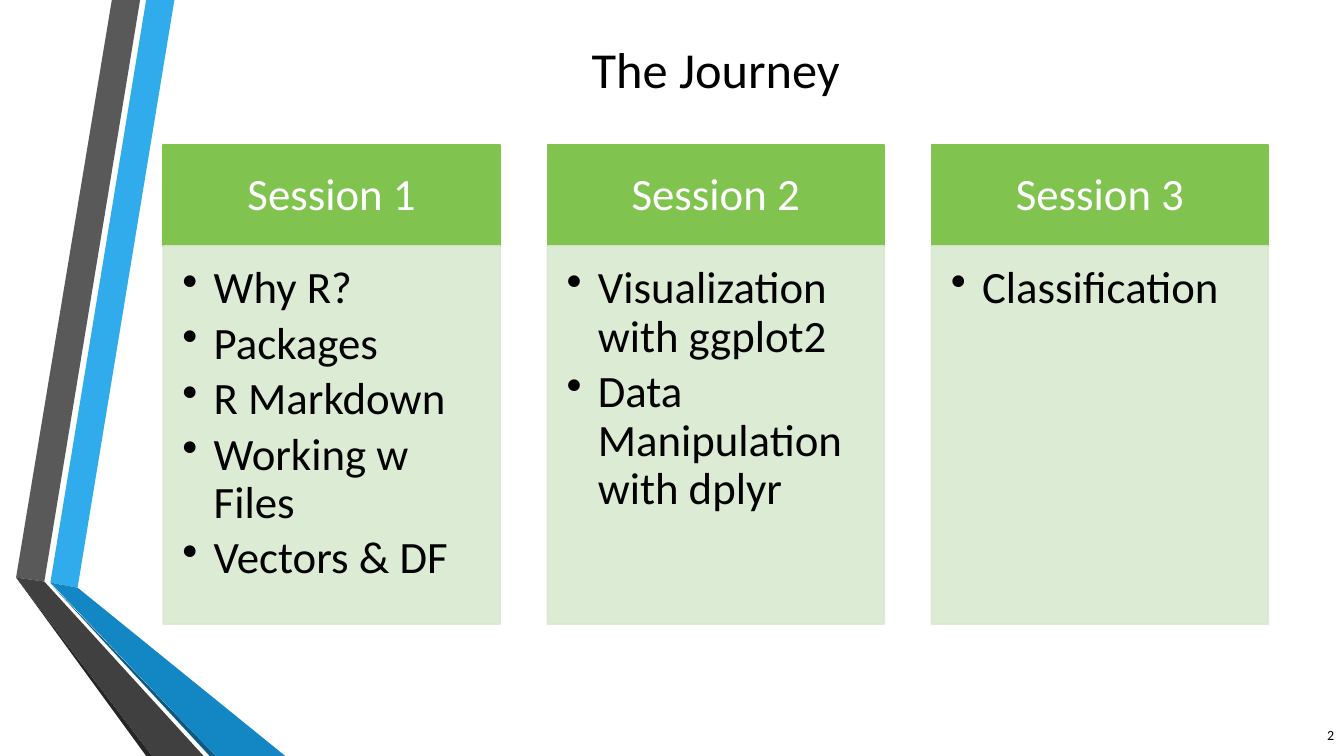
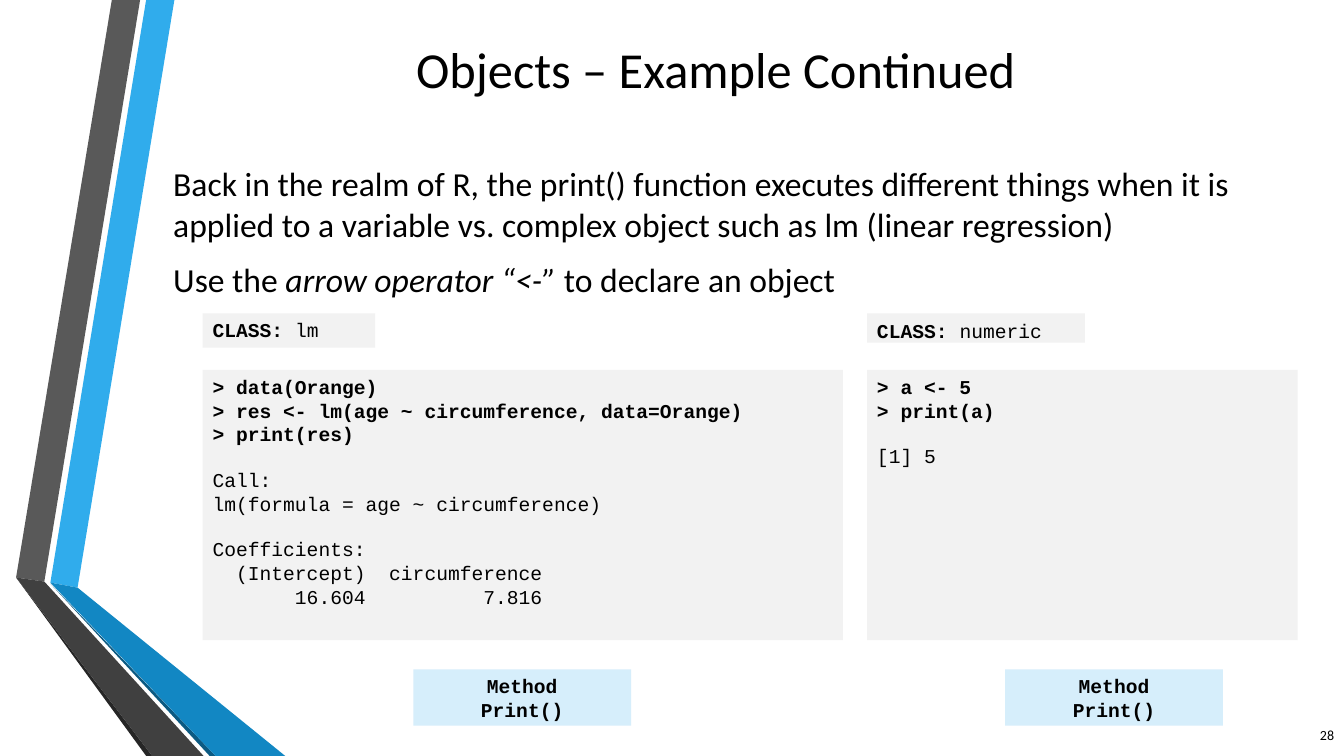
from lxml import etree
from pptx import Presentation
from pptx import util as u
from pptx.dml.color import RGBColor
from pptx.enum import shapes, text
from pptx.oxml import ns

COLORS = {
    "text": "000000", "white": "FFFFFF",
    "blue": "30ACEC", "blue_fold": "1287C3", "blue_shade": "0C5A82",
    "gray": "595959", "gray_fold": "404040", "gray_shade": "262626",
    "session": "80C34F", "topics": "D8E9D0",
    "code": "F2F2F2", "method": "D6EEFB",
}
BODY_FONT, CODE_FONT = "Calibri", "Courier New"
LEFT, CONTENT_WIDTH = 1.62, 10.96
DEFAULT_INSETS = (0.1, 0.05, 0.1, 0.05)
CODE_LINE = 16

RIBBONS = [
    ("blue", [(0.5, 5.78), (0.77, 5.83), (1.73, 0), (1.45, 0)]),
    ("gray", [(1.39, 0), (1.11, 0), (0.16, 5.73), (0.44, 5.77)]),
    ("gray_shade", [(0.16, 5.73), (1.45, 7.5), (1.51, 7.5)]),
    ("blue_shade", [(0.5, 5.79), (2.08, 7.5), (2.14, 7.5)]),
    ("blue_fold", [(0.5, 5.78), (2.14, 7.5), (2.83, 7.5), (0.77, 5.83)]),
    ("gray_fold", [(2.02, 7.5), (0.44, 5.77), (0.16, 5.73), (1.51, 7.5)]),
]

SESSIONS = [
    ("Session 1", ["Why R?", "Packages", "R Markdown", "Working w Files", "Vectors & DF"]),
    ("Session 2", ["Visualization with ggplot2", "Data Manipulation with dplyr"]),
    ("Session 3", ["Classification"]),
]

INTRO = [
    [("Back in the realm of R, the print() function executes different things when it is "
      "applied to a variable vs. complex object such as lm (linear regression)", False)],
    [("Use the ", False), ("arrow operator “<-” ", True), ("to declare an object", False)],
]

LM_BLOCKS = [
    ["> data(Orange)", "> res <- lm(age ~ circumference, data=Orange)", "> print(res)"],
    ["Call:", "lm(formula = age ~ circumference)"],
    ["Coefficients:", "  (Intercept)  circumference", "       16.604          7.816"],
]
NUMERIC_BLOCKS = [["> a <- 5", "> print(a)"], ["[1] 5"]]


def rgb(name):
    return RGBColor.from_string(COLORS[name])


def paint(shape, color):
    shape.shadow.inherit = False
    shape.fill.solid()
    shape.fill.fore_color.rgb = rgb(color)
    shape.line.fill.background()


def outline(shape, color):
    shape.line.color.rgb = rgb(color)
    shape.line.width = u.Pt(1.25)


def set_opacity(shape, percent):
    for color in shape._element.spPr.iter(ns.qn("a:srgbClr")):
        etree.SubElement(color, ns.qn("a:alpha"), val=str(percent * 1000))


def set_frame(shape, anchor=text.MSO_ANCHOR.TOP, insets=DEFAULT_INSETS):
    frame = shape.text_frame
    frame.word_wrap = True
    frame.vertical_anchor = anchor
    (frame.margin_left, frame.margin_top,
     frame.margin_right, frame.margin_bottom) = map(u.Inches, insets)
    return frame


def add_text_box(slide, box, **frame_options):
    return set_frame(slide.shapes.add_textbox(*map(u.Inches, box)), **frame_options)


def add_panel(slide, box, fill):
    panel = slide.shapes.add_shape(shapes.MSO_SHAPE.RECTANGLE, *map(u.Inches, box))
    paint(panel, fill)
    return panel


def next_paragraph(frame):
    first = frame.paragraphs[0]
    return frame.add_paragraph() if first.runs else first


def style(paragraph, size, font=BODY_FONT, color="text", bold=None,
          align=text.PP_ALIGN.LEFT):
    paragraph.alignment = align
    paragraph.font.size = u.Pt(size)
    paragraph.font.name = font
    paragraph.font.color.rgb = rgb(color)
    paragraph.font.bold = bold


def add_line(frame, words, size, **options):
    paragraph = next_paragraph(frame)
    paragraph.add_run().text = words
    style(paragraph, size, **options)
    return paragraph


def add_bullet(frame, words, size):
    paragraph = next_paragraph(frame)
    paragraph.add_run().text = words
    properties = paragraph._p.get_or_add_pPr()
    properties.set("marL", str(u.Inches(0.31)))
    properties.set("indent", str(-u.Inches(0.31)))
    etree.SubElement(properties, ns.qn("a:buChar"), char="•")
    style(paragraph, size)
    paragraph.line_spacing = 0.9
    paragraph.space_after = u.Pt(5)


def add_ribbons(slide):
    for color, corners in RIBBONS:
        start, *rest = [tuple(map(u.Inches, corner)) for corner in corners]
        builder = slide.shapes.build_freeform(*start)
        builder.add_line_segments(rest, close=True)
        paint(builder.convert_to_shape(), color)


def add_base_slide(deck, title, number):
    slide = deck.slides.add_slide(deck.slide_layouts[6])
    slide.background.fill.solid()
    slide.background.fill.fore_color.rgb = rgb("white")
    add_ribbons(slide)
    heading = add_text_box(slide, (LEFT, 0.32, CONTENT_WIDTH, 0.72),
                           anchor=text.MSO_ANCHOR.MIDDLE)
    add_line(heading, title, 36, align=text.PP_ALIGN.CENTER)
    page = add_text_box(slide, (12.73, 7.09, 0.6, 0.4), anchor=text.MSO_ANCHOR.MIDDLE)
    add_line(page, str(number), 10, align=text.PP_ALIGN.RIGHT)
    return slide


def add_session(slide, box, name, topics):
    left, top, width, height = box
    header_height = 1
    header = add_panel(slide, (left, top, width, header_height), "session")
    outline(header, "session")
    header_frame = set_frame(header, text.MSO_ANCHOR.MIDDLE, (0.25, 0.14, 0.25, 0.14))
    add_line(header_frame, name, 32, color="white", align=text.PP_ALIGN.CENTER).line_spacing = 0.9

    topic_list = add_panel(
        slide, (left, top + header_height, width, height - header_height), "topics")
    outline(topic_list, "topics")
    set_opacity(topic_list, 90)
    topic_frame = set_frame(topic_list, insets=(0.19, 0.19, 0.25, 0.28))
    for topic in topics:
        add_bullet(topic_frame, topic, 32)


def add_intro(slide, box):
    frame = add_text_box(slide, box)
    for index, pieces in enumerate(INTRO):
        paragraph = next_paragraph(frame)
        for words, italic in pieces:
            run = paragraph.add_run()
            run.text = words
            if italic:
                run.font.italic = True
        style(paragraph, 24)
        paragraph.space_after = u.Pt(6)
        if index:
            paragraph.space_before = u.Pt(4.8)


def add_class_example(slide, box, class_name, label_size, blocks, method_offset):
    left, top, width, height = box
    label = set_frame(add_panel(slide, (left, top, *label_size), "code"))
    paragraph = add_line(label, "CLASS: ", 14, font=CODE_FONT)
    paragraph.runs[0].font.bold = True
    paragraph.add_run().text = class_name

    code = set_frame(add_panel(slide, (left, top + 0.56, width, 2.68), "code"))
    for block_index, block in enumerate(blocks):
        for line_index, line in enumerate(block):
            paragraph = add_line(code, line, 14, font=CODE_FONT, bold=block_index == 0)
            if block_index and line_index == 0:
                paragraph.space_before = u.Pt(CODE_LINE)

    method_height = 0.56
    method = set_frame(add_panel(
        slide, (left + method_offset, top + height - method_height, 2.16, method_height),
        "method"))
    for line in ("Method", "Print()"):
        add_line(method, line, 14, font=CODE_FONT, bold=True, align=text.PP_ALIGN.CENTER)


def build_journey(deck):
    slide = add_base_slide(deck, "The Journey", 2)
    width = 3.34
    gap = (CONTENT_WIDTH - len(SESSIONS) * width) / (len(SESSIONS) - 1)
    for index, (name, topics) in enumerate(SESSIONS):
        add_session(slide, (LEFT + index * (width + gap), 1.44, width, 4.75), name, topics)


def build_objects(deck):
    slide = add_base_slide(deck, "Objects – Example Continued", 28)
    add_intro(slide, (LEFT, 1.57, 11.24, 1.5))
    add_class_example(slide, (2.01, 3.11, 6.35, 4.09), "lm", (1.71, 0.34), LM_BLOCKS, 2.09)
    add_class_example(slide, (8.6, 3.11, 4.27, 4.09), "numeric", (2.16, 0.29),
                      NUMERIC_BLOCKS, 1.37)


def main():
    deck = Presentation()
    deck.slide_width, deck.slide_height = u.Inches(13.33), u.Inches(7.5)
    build_journey(deck)
    build_objects(deck)
    deck.save("out.pptx")


if __name__ == "__main__":
    main()
